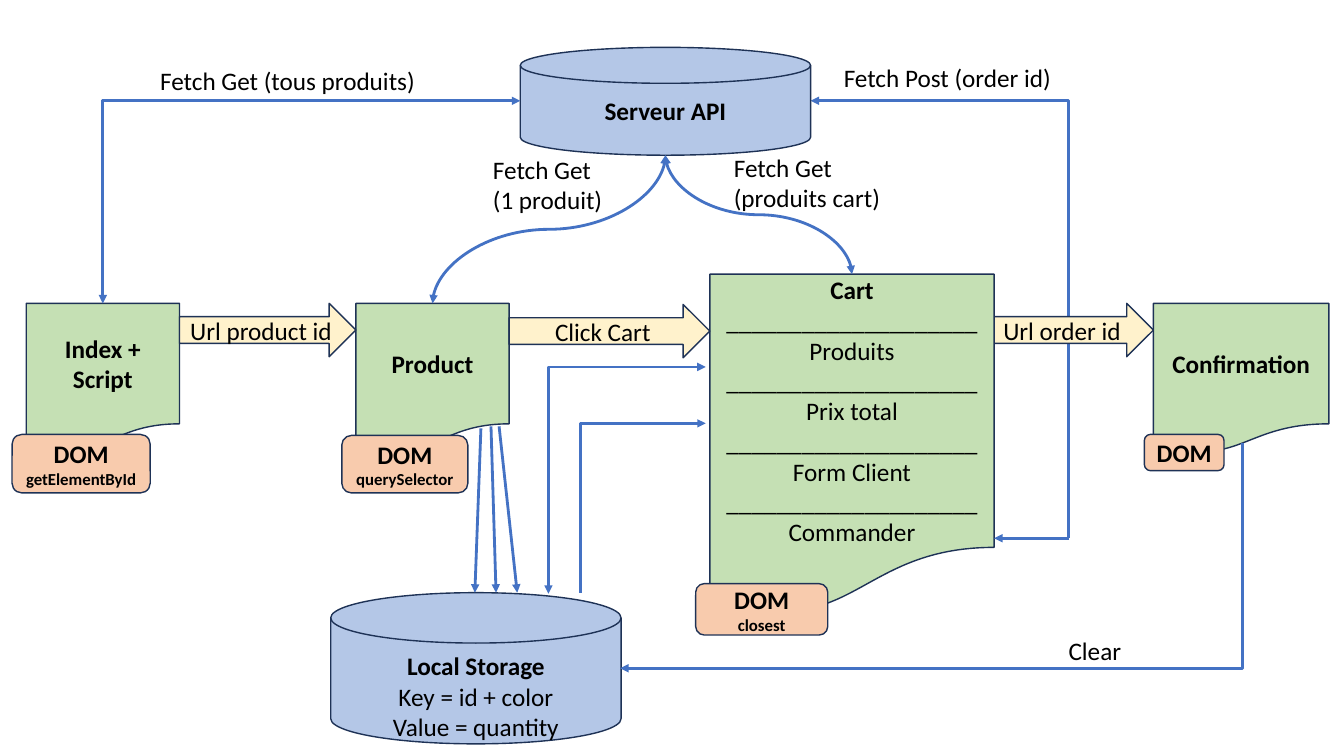
from dataclasses import dataclass

from lxml import etree
from pptx import Presentation
from pptx.dml.color import RGBColor
from pptx.enum.shapes import MSO_CONNECTOR, MSO_SHAPE
from pptx.enum.text import MSO_ANCHOR, PP_ALIGN
from pptx.oxml.ns import qn
from pptx.util import Inches, Pt

DISK = MSO_SHAPE.FLOWCHART_MAGNETIC_DISK
DOCUMENT = MSO_SHAPE.FLOWCHART_DOCUMENT
TAG = MSO_SHAPE.FLOWCHART_ALTERNATE_PROCESS
ARROW = MSO_SHAPE.RIGHT_ARROW
STRAIGHT, ELBOW, CURVE = MSO_CONNECTOR.STRAIGHT, MSO_CONNECTOR.ELBOW, MSO_CONNECTOR.CURVE
LEFT, CENTER = PP_ALIGN.LEFT, PP_ALIGN.CENTER
TOP, MIDDLE = MSO_ANCHOR.TOP, MSO_ANCHOR.MIDDLE


@dataclass(frozen=True)
class Theme:
    font: str = "Calibri"
    text: str = "000000"
    outline: str = "1E3256"
    flow: str = "4472C4"
    storage: str = "B4C7E7"
    page: str = "C5E0B4"
    dom: str = "F8CBAD"
    url: str = "FFF2CC"
    body_size: int = 18
    method_size: int = 12
    outline_width: int = 1
    flow_width: int = 2


THEME = Theme()
RULE = "_" * 20


def rgb(value):
    return RGBColor.from_string(value)


def add_text(frame, lines, bold=0, small=0, align=CENTER, anchor=MIDDLE):
    """Write one paragraph a line; the first `bold` are bold, the last `small` small."""
    frame.word_wrap = True
    frame.vertical_anchor = anchor
    for index, line in enumerate(lines):
        paragraph = frame.paragraphs[0] if index == 0 else frame.add_paragraph()
        paragraph.alignment = align
        run = paragraph.add_run()
        run.text = line
        run.font.name = THEME.font
        run.font.bold = index < bold
        is_small = index >= len(lines) - small
        run.font.size = Pt(THEME.method_size if is_small else THEME.body_size)
        run.font.color.rgb = rgb(THEME.text)


def add_box(slide, kind, box, fill, lines, **text_format):
    shape = slide.shapes.add_shape(kind, *map(Inches, box))
    shape.shadow.inherit = False
    shape.fill.solid()
    shape.fill.fore_color.rgb = rgb(fill)
    shape.line.color.rgb = rgb(THEME.outline)
    shape.line.width = Pt(THEME.outline_width)
    add_text(shape.text_frame, lines, **text_format)
    return shape


def add_label(slide, box, *lines):
    text_box = slide.shapes.add_textbox(*map(Inches, box))
    add_text(text_box.text_frame, lines, align=LEFT, anchor=TOP)


def leave_vertically(connector, start, end, preset):
    """Turn a connector so that its route sets off vertically."""
    (x1, y1), (x2, y2) = start, end
    width, height = abs(y2 - y1), abs(x2 - x1)
    connector.left = Inches((x1 + x2 - width) / 2)
    connector.top = Inches((y1 + y2 - height) / 2)
    connector.width, connector.height = Inches(width), Inches(height)
    downward = y2 > y1
    properties = connector._element.spPr
    frame = properties.find(qn("a:xfrm"))
    for flip in ("flipH", "flipV"):
        frame.attrib.pop(flip, None)
    frame.set("rot", str((90 if downward else 270) * 60000))
    if downward == (x2 > x1):
        frame.set("flipV", "1")
    properties.find(qn("a:prstGeom")).set("prst", preset)


def add_flow(slide, start, end, kind=STRAIGHT, both_ways=False):
    connector = slide.shapes.add_connector(kind, *map(Inches, start + end))
    if kind == ELBOW:
        leave_vertically(connector, start, end, "bentConnector2")
    elif kind == CURVE:
        leave_vertically(connector, start, end, "curvedConnector3")
    connector.line.color.rgb = rgb(THEME.flow)
    connector.line.width = Pt(THEME.flow_width)
    line = connector.line._get_or_add_ln()
    for tag in ("a:headEnd", "a:tailEnd") if both_ways else ("a:tailEnd",):
        etree.SubElement(line, qn(tag), type="triangle")
    etree.SubElement(connector._element.spPr, qn("a:effectLst"))


def main():
    presentation = Presentation()
    presentation.slide_width, presentation.slide_height = Inches(13.33), Inches(7.5)
    slide = presentation.slides.add_slide(presentation.slide_layouts[6])

    # Order posting, behind the page shapes
    add_flow(slide, (10.6, 5.34), (8.04, 1), ELBOW)
    add_box(slide, ARROW, (9.76, 3.01, 1.68, 0.53), THEME.url, ["Url order id"])

    # Server and storage
    add_box(slide, DISK, (5.16, 0.47, 2.88, 1.07), THEME.storage, ["Serveur API"], bold=1)
    storage = add_box(slide, DISK, (3.28, 5.88, 2.88, 1.5), THEME.storage,
                      ["Local Storage", "Key = id + color", "Value = quantity"], bold=1)
    storage.text_frame.margin_top = Inches(0.35)

    # Pages
    for left, width, name in ((0.26, 1.52, "Index + Script"), (3.53, 1.52, "Product"),
                              (11.44, 1.74, "Confirmation")):
        add_box(slide, DOCUMENT, (left, 3.01, width, 1.49), THEME.page, [name], bold=1)
    cart_lines = ["Cart"]
    for section in ("Produits", "Prix total", "Form Client", "Commander"):
        cart_lines += [RULE, section]
    add_box(slide, DOCUMENT, (7.04, 2.72, 2.82, 3.38), THEME.page, cart_lines, bold=1)

    # Exchanges with the server
    add_flow(slide, (1.02, 3.01), (5.16, 1), ELBOW, both_ways=True)
    add_flow(slide, (4.29, 3.01), (6.6, 1.54), CURVE, both_ways=True)
    add_flow(slide, (6.6, 1.54), (8.45, 2.72), CURVE, both_ways=True)
    add_label(slide, (1.49, 0.6, 3.04, 0.4), "Fetch Get (tous produits)")
    add_label(slide, (4.79, 1.48, 2.72, 0.71), "Fetch Get", "(1 produit)")
    add_label(slide, (7.18, 1.46, 2.82, 0.71), "Fetch Get", "(produits cart)")
    add_label(slide, (8.27, 0.57, 3.08, 0.4), "Fetch Post (order id)")

    # DOM tags
    for box, methods in (((0.12, 4.31, 1.37, 0.58), ["getElementById"]),
                         ((11.35, 4.31, 0.79, 0.36), []),
                         ((3.39, 4.32, 1.25, 0.57), ["querySelector"]),
                         ((6.9, 5.79, 1.31, 0.51), ["closest"])):
        add_box(slide, TAG, box, THEME.dom, ["DOM"] + methods, bold=2, small=len(methods))

    # Moves between pages
    add_box(slide, ARROW, (1.78, 3.01, 1.75, 0.53), THEME.url, ["Url product id"])
    add_box(slide, ARROW, (5.05, 3.02, 1.99, 0.53), THEME.url, ["Click Cart"])
    add_flow(slide, (10.6, 5.34), (9.86, 5.34))

    # Exchanges with the storage
    for start, end in (((4.77, 4.25), (4.71, 5.88)), ((4.87, 4.23), (4.92, 5.88)),
                       ((4.95, 4.23), (5.13, 5.88))):
        add_flow(slide, start, end)
    add_flow(slide, (5.44, 5.89), (7, 3.64), ELBOW, both_ways=True)
    add_flow(slide, (5.76, 5.88), (7, 4.2), ELBOW)
    add_flow(slide, (12.32, 4.4), (6.15, 6.63), ELBOW)
    add_label(slide, (10.5, 6.25, 1, 0.4), "Clear")

    presentation.save("out.pptx")


if __name__ == "__main__":
    main()
